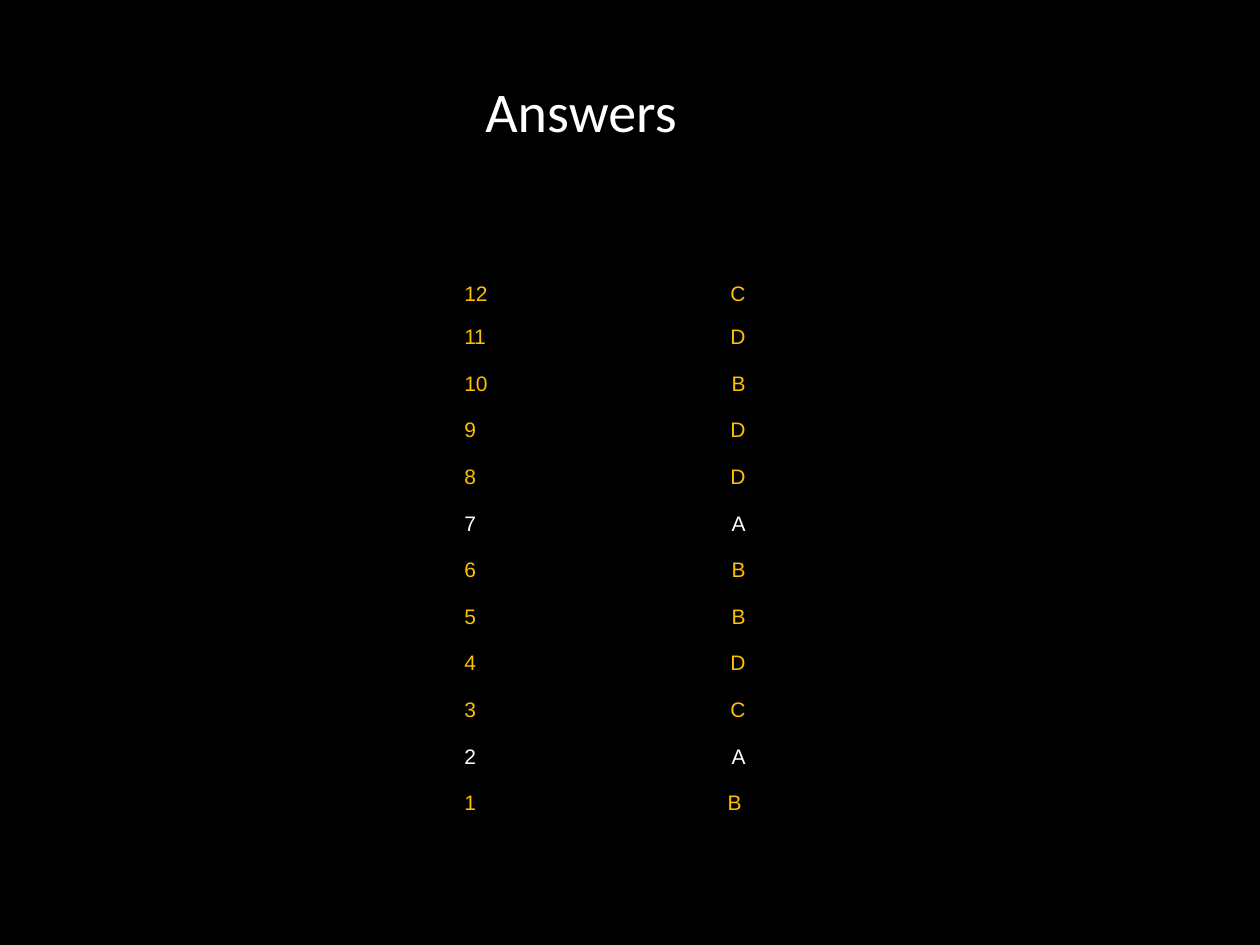
from pptx import Presentation
from pptx.dml.color import RGBColor
from pptx.enum.shapes import MSO_SHAPE
from pptx.enum.text import MSO_ANCHOR, PP_ALIGN
from pptx.oxml.ns import qn
from pptx.util import Cm, Pt

COLORS = {"background": "000000", "answer": "FFC000", "highlight": "FFFFFF"}
ANSWERS = "BACDBBADDBDC"  # questions 1 to 12
NO_STYLE_NO_GRID = "{2D5ABB26-0587-4C30-8999-92F81FD0307C}"


def format_text(paragraph, font_name, size, color):
    for run in paragraph.runs:
        run.font.name = font_name
        run.font.size = Pt(size)
        run.font.color.rgb = RGBColor.from_string(COLORS[color])


def fill_black(item):
    item.fill.solid()
    item.fill.fore_color.rgb = RGBColor.from_string(COLORS["background"])


presentation = Presentation()
presentation.slide_width, presentation.slide_height = Cm(25.4), Cm(19.05)
slide = presentation.slides.add_slide(presentation.slide_layouts[5])

# Black backdrop, sent behind the title
backdrop = slide.shapes.add_shape(
    MSO_SHAPE.RECTANGLE, 0, 0, presentation.slide_width, presentation.slide_height
)
backdrop.shadow.inherit = False
backdrop.line.fill.background()
fill_black(backdrop)
slide.shapes.title._element.addprevious(backdrop._element)

# Title
title = slide.shapes.title
title.left, title.top, title.width, title.height = Cm(7.9), Cm(0.42), Cm(7.63), Cm(3.6)
title.text_frame.text = "Answers"
title.text_frame.vertical_anchor = MSO_ANCHOR.MIDDLE
title.text_frame.paragraphs[0].alignment = PP_ALIGN.CENTER
format_text(title.text_frame.paragraphs[0], "Calibri", 32, "highlight")

# Answer table, without style or grid
row_count = len(ANSWERS)
table = slide.shapes.add_table(
    row_count, 2, Cm(9.26), Cm(5.7), Cm(5.77), Cm(11.12)
).table
table.first_row = table.horz_banding = False
table._tbl.tblPr.find(qn("a:tableStyleId")).text = NO_STYLE_NO_GRID
table.columns[0].width, table.columns[1].width = Cm(1.96), Cm(3.81)

# Rows run from the last question down to the first
for row_index, letter in enumerate(reversed(ANSWERS)):
    number = row_count - row_index
    is_edge = row_index in (0, row_count - 1)
    table.rows[row_index].height = Cm(0.86 if is_edge else 0.94)
    color = "highlight" if letter == "A" else "answer"
    for column_index, text in enumerate((str(number), letter)):
        cell = table.cell(row_index, column_index)
        cell.margin_left = Cm(0.1 if column_index == 0 else 0)
        cell.margin_right = Cm(0.08 if number == 1 else 0)
        cell.margin_top = cell.margin_bottom = 0
        cell.vertical_anchor = MSO_ANCHOR.TOP
        if number > 1:
            fill_black(cell)
        cell.text_frame.text = text
        paragraph = cell.text_frame.paragraphs[0]
        paragraph.alignment = (PP_ALIGN.LEFT, PP_ALIGN.RIGHT)[column_index]
        format_text(paragraph, "Arial", 12, color)
        # Slightly tighter letters, except in one-digit numbers
        if column_index == 1 or number > 9:
            paragraph.runs[0].font._element.set("spc", "-10")

presentation.save("out.pptx")
